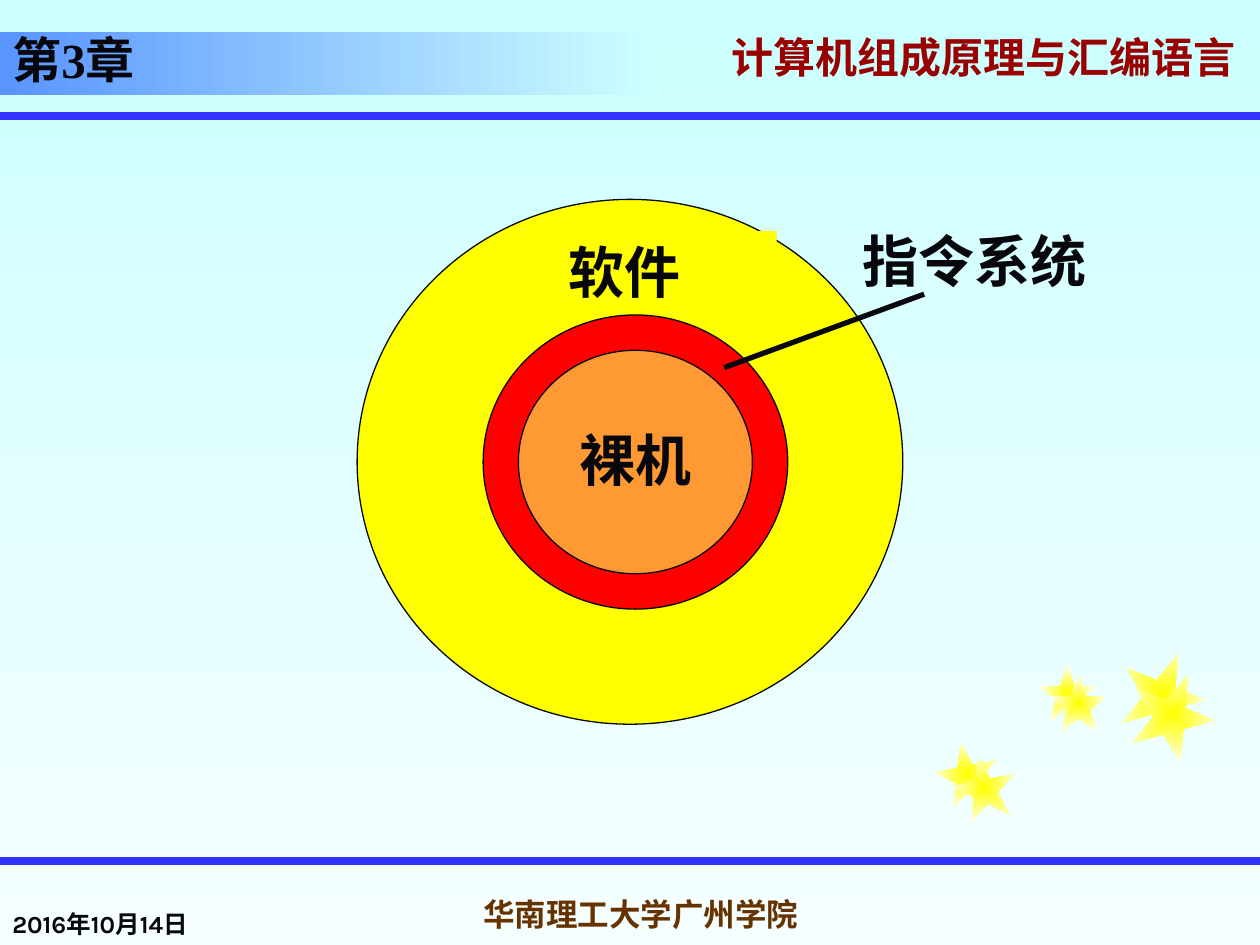
from dataclasses import dataclass

from lxml.etree import SubElement
from pptx import Presentation
from pptx.dml.color import RGBColor
from pptx.enum.shapes import MSO_CONNECTOR as Link, MSO_SHAPE as Shape
from pptx.enum.text import MSO_ANCHOR as Anchor, PP_ALIGN as Align
from pptx.oxml import parse_xml
from pptx.oxml.ns import nsdecls, qn
from pptx.util import Cm, Pt


@dataclass(frozen=True)
class Theme:
    """Colours, fonts and type sizes of the slide."""
    ink: str = "08080C"
    rule: str = "3333FF"
    course: str = "990000"
    school: str = "663300"
    software: str = "FFFF00"
    instructions: str = "FF0000"
    machine: str = "FF9933"
    sky: tuple = ("CCFFFF", "F6FFFF")
    banner: tuple = ("5994FF", "CCFFFF")
    star: tuple = ("FFFF00", "FFFFF5")
    serif: str = "Times New Roman"
    sans: str = "Karla"
    chinese: str = "Noto Sans CJK SC"
    label_size: int = 32
    chapter_size: int = 28
    course_size: int = 24
    school_size: int = 18
    date_size: int = 14


THEME = Theme()


def rgb(code):
    """Return the colour for a hex code."""
    return RGBColor.from_string(code)


def blend(fill, colours, angle=0):
    """Give a fill a linear gradient between two colours."""
    fill.gradient()
    fill.gradient_angle = angle
    for stop, colour in zip(fill.gradient_stops, colours):
        stop.color.rgb = rgb(colour)


def add_shape(slide, kind, box, colour=None, outline=None):
    """Add a flat preset shape in a box given in centimetres."""
    shape = slide.shapes.add_shape(kind, *map(Cm, box))
    shape.shadow.inherit = False
    if colour:
        shape.fill.solid()
        shape.fill.fore_color.rgb = rgb(colour)
    if outline:
        shape.line.color.rgb = rgb(outline)
        shape.line.width = Pt(0.75)
    else:
        shape.line.fill.background()
    return shape


def write(shape, text, size, font, colour=THEME.ink, anchor=Anchor.TOP, align=Align.LEFT):
    """Put one bold line of text in a shape and return its run."""
    frame = shape.text_frame
    frame.text = text
    frame.word_wrap = True
    frame.vertical_anchor = anchor
    frame.paragraphs[0].alignment = align
    run = frame.paragraphs[0].runs[0]
    run.font.size = Pt(size)
    run.font.bold = True
    run.font.name = font
    run.font.color.rgb = rgb(colour)
    SubElement(run.font._element, qn("a:ea")).set("typeface", THEME.chinese)
    return run


def add_text(slide, box, *args, **kwargs):
    """Add a text box in a box given in centimetres and return its run."""
    return write(slide.shapes.add_textbox(*map(Cm, box)), *args, **kwargs)


def add_line(slide, start, end, colour, width):
    """Add a straight line between two points in centimetres."""
    line = slide.shapes.add_connector(Link.STRAIGHT, *map(Cm, (*start, *end)))
    line.line.color.rgb = rgb(colour)
    line.line.width = Pt(width)
    SubElement(line._element.spPr, qn("a:effectLst"))


def add_header(slide, left, top, width):
    """Place the chapter banner, the course name and the rule below them."""
    banner = add_shape(slide, Shape.RECTANGLE, (left, top, 13.1, 1.27))
    blend(banner.fill, THEME.banner)
    write(banner, "第3章", THEME.chapter_size, THEME.serif, anchor=Anchor.BOTTOM)
    course = add_text(slide, (left + 14.5, top, width - 14.5, 1.27), "计算机组成原理与汇编语言",
                      THEME.course_size, THEME.chinese, THEME.course, Anchor.MIDDLE)
    course._r.getparent().get_or_add_pPr()
    slide.shapes[-1].text_frame.paragraphs[0].line_spacing = 0.7
    shadow = parse_xml(
        f'<a:effectLst {nsdecls("a")}><a:outerShdw dist="35921" dir="2700000">'
        '<a:srgbClr val="808080"/></a:outerShdw></a:effectLst>')
    course.font._element.find(qn("a:latin")).addprevious(shadow)
    add_line(slide, (left, top + 1.69), (left + width, top + 1.69), THEME.rule, 4.5)


def add_footer(slide, left, top, width):
    """Place the bottom rule, the date and the school name."""
    add_line(slide, (left, top), (left + width, top), THEME.rule, 4.5)
    add_text(slide, (left, top + 0.43, 5.29, 1.27), "2016年10月14日",
             THEME.date_size, THEME.sans, anchor=Anchor.BOTTOM)
    add_text(slide, (left + 8.89, top + 0.43, 8.05, 1.27), "华南理工大学广州学院",
             THEME.school_size, THEME.sans, THEME.school, Anchor.MIDDLE, Align.CENTER)


def add_stars(slide, left, top):
    """Scatter three pairs of overlapping stars that fade outwards."""
    pairs = (
        (0, 1.83, 1.27, 349, 0.36, 0.28),
        (2.08, 0.26, 1.17, 0, 0.23, 0.2),
        (3.73, 0, 1.7, 22, 0.2, 0.41),
    )
    for x, y, size, turn, shift_x, shift_y in pairs:
        for step in range(2):
            box = (left + x + step * shift_x, top + y + step * shift_y, size, size)
            star = add_shape(slide, Shape.STAR_5_POINT, box)
            star.rotation = turn
            blend(star.fill, THEME.star)
            linear = star._element.spPr.find(".//" + qn("a:lin"))
            linear.getparent().replace(linear, parse_xml(
                f'<a:path {nsdecls("a")} path="shape">'
                '<a:fillToRect l="50000" t="50000" r="50000" b="50000"/></a:path>'))


def add_layers(slide, left, top, width, height):
    """Draw the machine, instruction and software layers with their labels."""
    def label(x, y, wide, text):
        add_text(slide, (left + x, top + y, wide, 1.59), text, THEME.label_size, THEME.serif)

    def ring(box, colour, thickness):
        donut = add_shape(slide, Shape.DONUT, box, colour, THEME.ink)
        donut.adjustments[0] = thickness

    add_shape(slide, Shape.OVAL, (left + 2.75, top + 2.54, 5.66, 5.5),
              THEME.machine, THEME.machine)
    label(4.23, 4.44, 5, "裸机")
    ring((left, top, width, height), THEME.software, 0.25)
    add_shape(slide, Shape.RECTANGLE, (left + 4.02, top + 0.64, 4.44, 1.59), THEME.software)
    label(4.02, 0.64, 4.44, "软件")
    ring((left + 2.54, top + 2.33, 6.14, 5.93), THEME.instructions, 0.12)
    add_line(slide, (left + 7.4, top + 3.39), (left + 11.43, top + 1.91), THEME.ink, 3)
    label(9.94, 0.42, 5.29, "指令系统")


def main():
    """Build the slide and save it."""
    deck = Presentation()
    deck.slide_width, deck.slide_height = Cm(25.4), Cm(19.05)
    slide = deck.slides.add_slide(deck.slide_layouts[6])
    blend(slide.background.fill, THEME.sky, 270)
    add_header(slide, 0, 0.64, 25.4)
    add_stars(slide, 18.85, 13.13)
    add_footer(slide, 0, 17.35, 25.4)
    add_layers(slide, 7.2, 4.02, 11, 10.58)
    deck.save("out.pptx")


if __name__ == "__main__":
    main()
